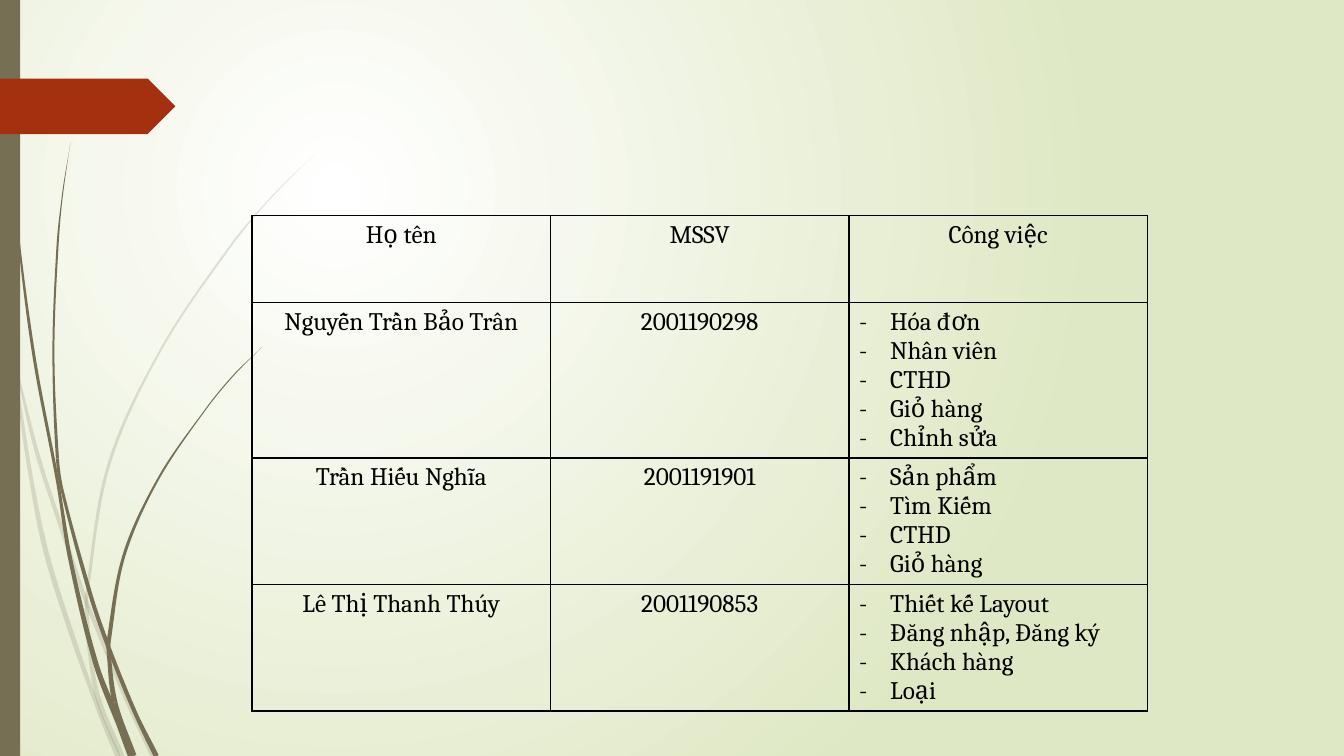
import math
from lxml import etree
from pptx import Presentation
from pptx.dml.color import RGBColor
from pptx.enum import shapes, text
from pptx.oxml import ns, parse_xml
from pptx.util import Inches, Pt

HEAD = ["Họ tên", "MSSV", "Công việc"]
TEAM = [
    ("Nguyễn Trần Bảo Trân", "2001190298",
     ["Hóa đơn", "Nhân viên", "CTHD", "Giỏ hàng", "Chỉnh sửa"]),
    ("Trần Hiếu Nghĩa", "2001191901",
     ["Sản phẩm", "Tìm Kiếm", "CTHD", "Giỏ hàng"]),
    ("Lê Thị Thanh Thúy", "2001190853",
     ["Thiết kế Layout", "Đăng nhập, Đăng ký", "Khách hàng", "Loại"]),
]
# Each blade of grass: the knots where its parts join, then (x, y, thickness)
# along its middle, in inches
PALE = [
    ([2, 5, 6], [(0, 2.9, .04), (.08, 3.3, .03), (.15, 3.6, .02), (.37, 4.5, .04),
                 (.6, 5.21, .04), (.84, 5.93, .04), (.88, 6.03, .04),
                 (1.25, 6.93, .04), (1.52, 7.5, .05)]),
    ([5], [(.11, 3.5, .01), (.17, 3.85, .03), (.3, 4.7, .04), (.45, 5.45, .05),
           (.68, 6.2, .05), (1, 7.1, .04), (1.17, 7.5, .05)]),
    ([5, 6, 8], [(3.12, 1.53, 0), (2.68, 1.97, .01), (2.28, 2.45, .02), (1.59, 3.48, .02),
                 (1.08, 4.61, .03), (.86, 5.9, .03), (.86, 6.05, .04), (.89, 6.46, .04),
                 (.98, 6.95, .05), (1.21, 7.5, .05)]),
]
DARK = [
    ([4, 7], [(.03, 0, .01), (.07, 1.1, .02), (.18, 2.33, .02), (.34, 3.55, .03),
              (.57, 4.77, .03), (.7, 5.56, .04), (.95, 6.58, .05), (1.17, 7.15, .06),
              (1.31, 7.5, .08)]),
    ([4, 5, 7], [(.7, 1.41, 0), (.62, 1.93, .01), (.57, 2.45, .02), (.53, 3.49, .02),
                 (.57, 4.55, .03), (.62, 4.88, .03), (.9, 5.91, .04), (1.08, 6.43, .04),
                 (1.34, 7.07, .04), (1.55, 7.5, .05)]),
    ([5, 6, 7], [(2.6, 3.44, 0), (2.31, 3.73, .01), (2.04, 4.06, .01), (1.57, 4.75, .02),
                 (1.23, 5.51, .03), (1.08, 6.35, .04), (1.08, 6.5, .04),
                 (1.14, 6.97, .05), (1.33, 7.5, .05)]),
]
THEME = dict(bark="766F54", flag="A53010", ink="000000", light="FFFFFF", leaf="DFE8C4",
             font="Cambria", size=18, rule=1)
LEFT, TOP, COL, ROW = 2.5, 2.14, 2.96, .86
LINE, PAD, DENT = .29, .09, .31


def rgb(name):
    return RGBColor.from_string(THEME[name])


def sub(node, tag, **attrs):
    return etree.SubElement(node, ns.qn(tag), attrs)


def paint(shape, name, alpha=None):
    shape.shadow.inherit = False
    shape.line.fill.background()
    shape.fill.solid()
    shape.fill.fore_color.rgb = rgb(name)
    if alpha:
        tone = shape.fill._xPr.find(".//" + ns.qn("a:srgbClr"))
        sub(tone, "a:alpha", val=str(alpha * 1000))


def bend(shape, edge):
    """Turn the straight sides into curves that follow each point's heading."""
    steps = shape._element.findall(".//" + ns.qn("a:lnTo"))
    for step, (p, u), (q, v) in zip(steps, edge, edge[1:]):
        reach = math.dist(p, q) / 3
        way = 1 if (q[0] - p[0]) * u[0] + (q[1] - p[1]) * u[1] > 0 else -1
        step.tag = ns.qn("a:cubicBezTo")
        end = step[0]
        for (x, y), (dx, dy), sign in ((p, u, way), (q, v, -way)):
            pull = sign * reach
            end.addprevious(end.makeelement(ns.qn("a:pt"), {
                "x": str(Inches(x + dx * pull) - shape.left),
                "y": str(Inches(y + dy * pull) - shape.top)}))


def blade(slide, cuts, knots, alpha=None):
    one, two = [], []
    last = len(knots) - 1
    for i, (x, y, w) in enumerate(knots):
        ax, ay, _ = knots[max(i - 1, 0)]
        bx, by, _ = knots[min(i + 1, last)]
        size = math.hypot(bx - ax, by - ay)
        dx, dy = (bx - ax) / size, (by - ay) / size
        one.append(((x + dy * w / 2, y - dx * w / 2), (dx, dy)))
        two.append(((x - dy * w / 2, y + dx * w / 2), (dx, dy)))
    for a, b in zip([0, *cuts], [*cuts, last]):
        edge = one[a:b + 1] + two[a:b + 1][::-1]
        spots = [(Inches(x), Inches(y)) for (x, y), _ in edge]
        form = slide.shapes.build_freeform(*spots[0], scale=1.0)
        form.add_line_segments(spots[1:], close=True)
        part = form.convert_to_shape()
        bend(part, edge)
        paint(part, "bark", alpha)


def write(para, words, align=None, mark=None):
    run = para.add_run()
    run.text = words
    run.font.name, run.font.size = THEME["font"], Pt(THEME["size"])
    run.font.color.rgb = rgb("ink")
    para.alignment = align
    if mark:
        props = para._p.get_or_add_pPr()
        props.set("marL", str(Inches(DENT)))
        props.set("indent", str(-Inches(DENT)))
        sub(props, "a:buFont", typeface=THEME["font"])
        sub(props, "a:buChar", char=mark)


def frame(cell):
    """Clear the cell's fill and rule its four sides."""
    props = cell._tc.get_or_add_tcPr()
    for side in ("a:lnL", "a:lnR", "a:lnT", "a:lnB"):
        line = sub(props, side, w=str(Pt(THEME["rule"])))
        sub(sub(line, "a:solidFill"), "a:srgbClr", val=THEME["ink"])
    cell.fill.background()


def backdrop(slide):
    slide.background.fill.solid()
    props = slide.background._cSld.bg.bgPr
    props.replace(props[0], parse_xml(
        f'<a:gradFill {ns.nsdecls("a")} rotWithShape="1"><a:gsLst>'
        f'<a:gs pos="0"><a:srgbClr val="{THEME["light"]}"/></a:gs>'
        f'<a:gs pos="100000"><a:srgbClr val="{THEME["leaf"]}"/></a:gs></a:gsLst>'
        '<a:path path="circle"><a:fillToRect l="50000" t="50000" r="100000" b="100000"/>'
        '</a:path></a:gradFill>'))


def roster(slide):
    rows = [HEAD, *TEAM]
    highs = [ROW] + [max(ROW, PAD + LINE * len(jobs)) for _, _, jobs in TEAM]
    grid = slide.shapes.add_table(len(rows), len(HEAD), Inches(LEFT), Inches(TOP),
                                  Inches(COL * len(HEAD)), Inches(sum(highs))).table
    grid.first_row = grid.horz_banding = False
    for col in grid.columns:
        col.width = Inches(COL)
    for r, (row, high) in enumerate(zip(rows, highs)):
        grid.rows[r].height = Inches(high)
        for c, item in enumerate(row):
            cell = grid.cell(r, c)
            frame(cell)
            body = cell.text_frame
            if isinstance(item, str):
                write(body.paragraphs[0], item, align=text.PP_ALIGN.CENTER)
                continue
            for i, job in enumerate(item):
                write(body.add_paragraph() if i else body.paragraphs[0], job, mark="-")


def main():
    deck = Presentation()
    deck.slide_width, deck.slide_height = Inches(13.33), Inches(7.5)
    slide = deck.slides.add_slide(deck.slide_layouts[6])
    backdrop(slide)
    for cuts, knots in PALE:
        blade(slide, cuts, knots, alpha=20)
    for cuts, knots in DARK:
        blade(slide, cuts, knots)
    kind = shapes.MSO_SHAPE
    bar = slide.shapes.add_shape(kind.RECTANGLE, 0, 0, Inches(.2), Inches(7.5))
    paint(bar, "bark")
    flag = slide.shapes.add_shape(kind.PENTAGON, 0, Inches(.78), Inches(1.74), Inches(.55))
    paint(flag, "flag")
    roster(slide)
    deck.save("out.pptx")


if __name__ == "__main__":
    main()
